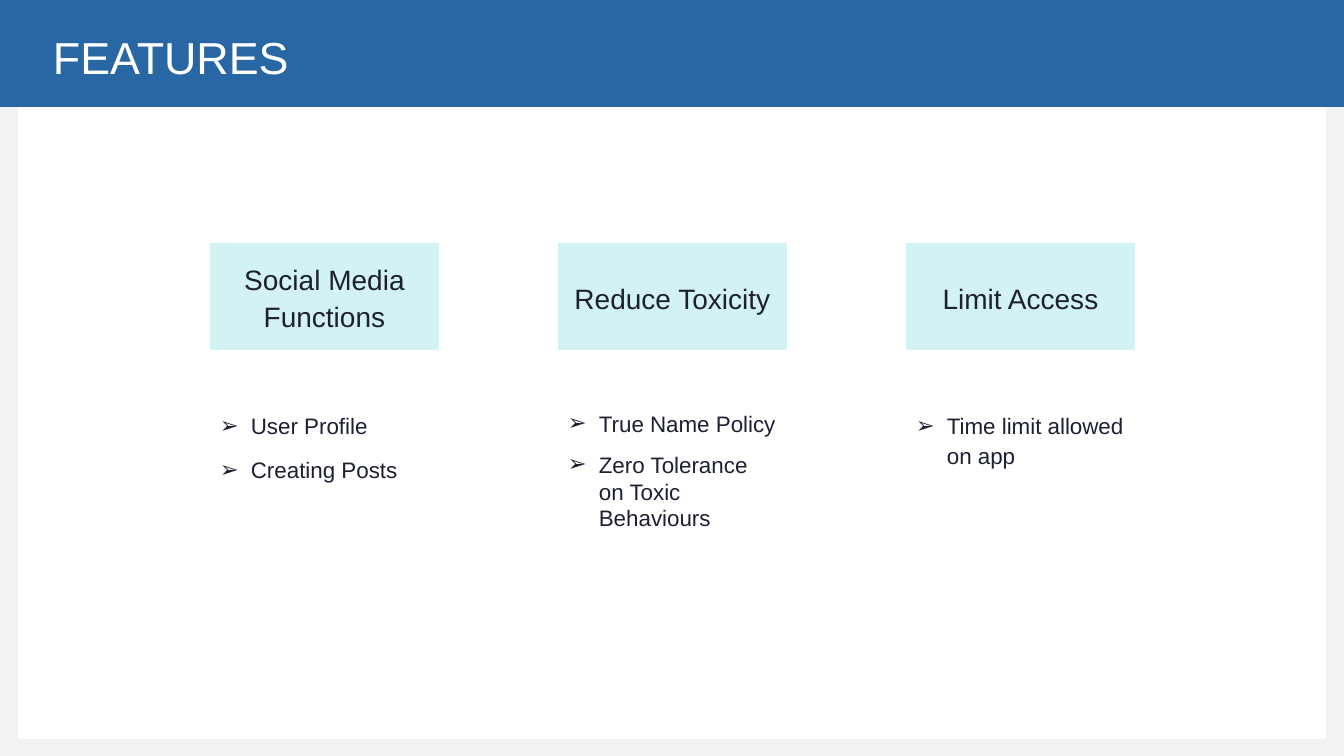
from dataclasses import dataclass

from lxml.etree import SubElement
from pptx import Presentation
from pptx.dml.color import RGBColor
from pptx.enum.shapes import MSO_SHAPE
from pptx.enum.text import MSO_ANCHOR, PP_ALIGN
from pptx.oxml.ns import qn
from pptx.util import Pt

EMU_PER_PX = 914400 / 100.8
SLIDE_WIDTH, SLIDE_HEIGHT = 1344, 756


def px(length):
    return round(length * EMU_PER_PX)


@dataclass(frozen=True)
class Theme:
    font: str = "Arial"
    frame: str = "F0F3F1"
    banner: str = "2866A4"
    card: str = "D3F2F4"
    dark: str = "1C2031"
    light: str = "FFFFFF"
    title_size: int = 32
    heading_size: int = 20
    body_size: int = 16


def write_text(paragraph, text, *, font, size, color, align=PP_ALIGN.LEFT,
               line_spacing=1.1, space_before=0, margin=0, bullet=None):
    paragraph.alignment = align
    paragraph.line_spacing = line_spacing
    paragraph.space_before = Pt(space_before)
    run = paragraph.add_run()
    run.text = text
    run.font.name = font
    run.font.size = Pt(size)
    run.font.color.rgb = RGBColor.from_string(color)
    properties = paragraph._p.get_or_add_pPr()
    properties.set("marL", str(px(margin)))
    if bullet:
        properties.set("indent", str(px(-margin)))
        SubElement(properties, qn("a:buFont"), typeface=font)
        SubElement(properties, qn("a:buChar"), char=bullet)


class SlideBuilder:
    def __init__(self, slide, theme):
        self.slide = slide
        self.theme = theme

    def paint(self, shape, color):
        shape.shadow.inherit = False
        shape.fill.solid()
        shape.fill.fore_color.rgb = RGBColor.from_string(color)
        shape.line.fill.background()

    def frame(self, left, top, right, bottom):
        builder = self.slide.shapes.build_freeform(left, top, scale=EMU_PER_PX)
        builder.add_line_segments([(left, bottom), (right, bottom), (right, top)])
        builder.move_to(0, 0)
        builder.add_line_segments([(SLIDE_WIDTH, 0), (SLIDE_WIDTH, SLIDE_HEIGHT),
                                   (0, SLIDE_HEIGHT)])
        self.paint(builder.convert_to_shape(), self.theme.frame)

    def box(self, left, top, width, height, text, fill, **text_format):
        shape = self.slide.shapes.add_shape(
            MSO_SHAPE.RECTANGLE, px(left), px(top), px(width), px(height))
        self.paint(shape, fill)
        frame = shape.text_frame
        frame.word_wrap = True
        frame.vertical_anchor = MSO_ANCHOR.MIDDLE
        write_text(frame.paragraphs[0], text, font=self.theme.font, **text_format)

    def bullets(self, left, top, width, height, items, line_spacing):
        frame = self.slide.shapes.add_textbox(
            px(left), px(top), px(width), px(height)).text_frame
        frame.word_wrap = True
        for index, item in enumerate(items):
            paragraph = frame.add_paragraph() if index else frame.paragraphs[0]
            write_text(paragraph, item, font=self.theme.font,
                       size=self.theme.body_size, color=self.theme.dark,
                       line_spacing=line_spacing, space_before=10,
                       margin=31, bullet="➢")


# Feature heading, list items, list line spacing
FEATURES = [
    ("Social Media Functions", ["User Profile", "Creating Posts"], 1.1),
    ("Reduce Toxicity",
     ["True Name Policy", "Zero Tolerance on Toxic Behaviours"], 1.0),
    ("Limit Access", ["Time limit allowed on app"], 1.1),
]
COLUMN_LEFT, COLUMN_STEP = 210, 348
CARD_WIDTH, CARD_HEIGHT = 229, 107
HEADING_TOP, LIST_TOP = 243, 405


def main():
    presentation = Presentation()
    presentation.slide_width = px(SLIDE_WIDTH)
    presentation.slide_height = px(SLIDE_HEIGHT)
    slide = presentation.slides.add_slide(presentation.slide_layouts[6])
    theme = Theme()
    builder = SlideBuilder(slide, theme)

    # Border and title banner
    builder.frame(18, 17, 1326, 739)
    builder.box(0, 0, SLIDE_WIDTH, 107, "FEATURES", theme.banner,
                size=theme.title_size, color=theme.light, margin=43)

    # Feature columns
    for column, (heading, items, line_spacing) in enumerate(FEATURES):
        left = COLUMN_LEFT + column * COLUMN_STEP
        builder.box(left, HEADING_TOP, CARD_WIDTH, CARD_HEIGHT, heading, theme.card,
                    size=theme.heading_size, color=theme.dark,
                    align=PP_ALIGN.CENTER, space_before=10)
        builder.bullets(left, LIST_TOP, CARD_WIDTH, CARD_HEIGHT, items, line_spacing)

    presentation.save("out.pptx")


if __name__ == "__main__":
    main()
